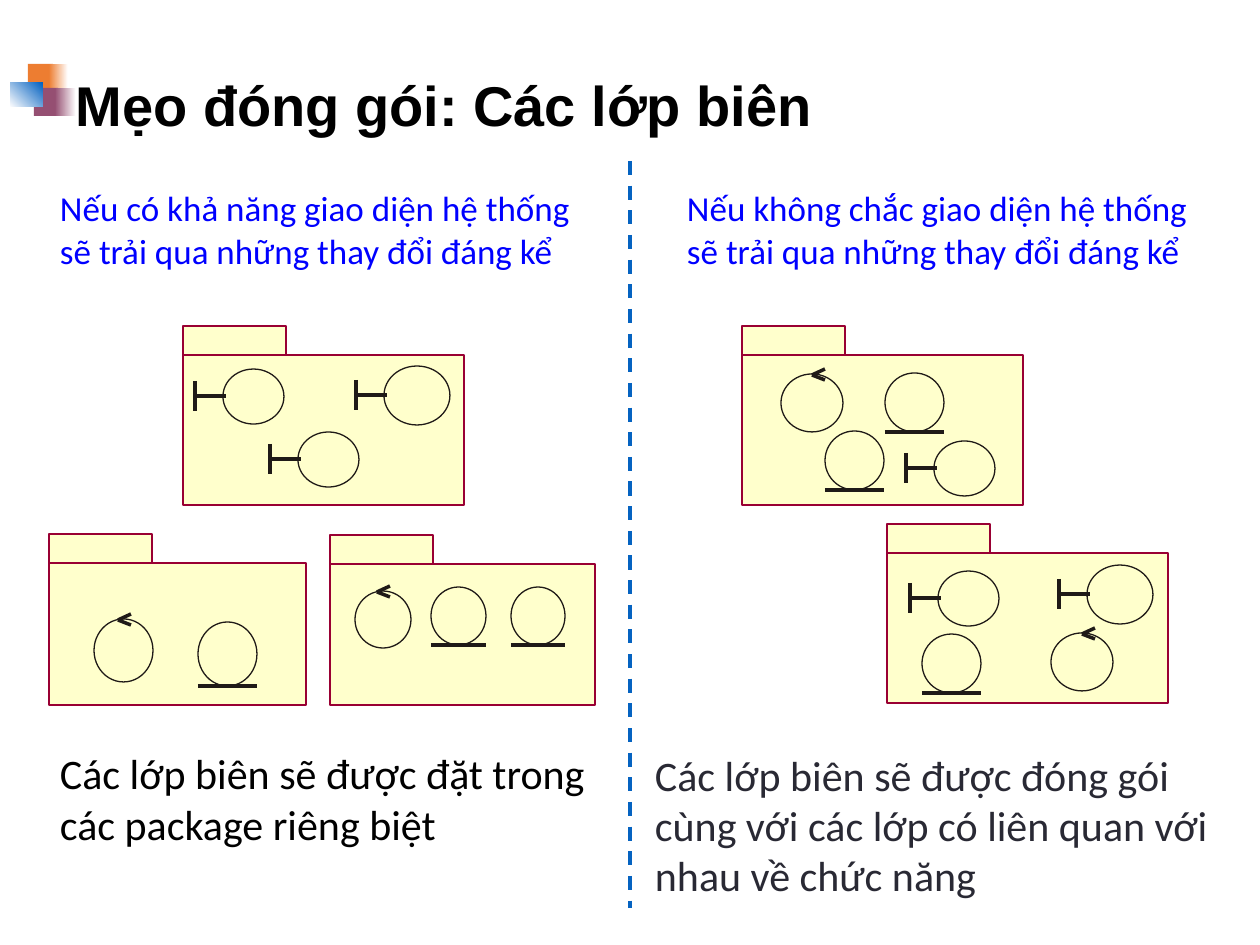
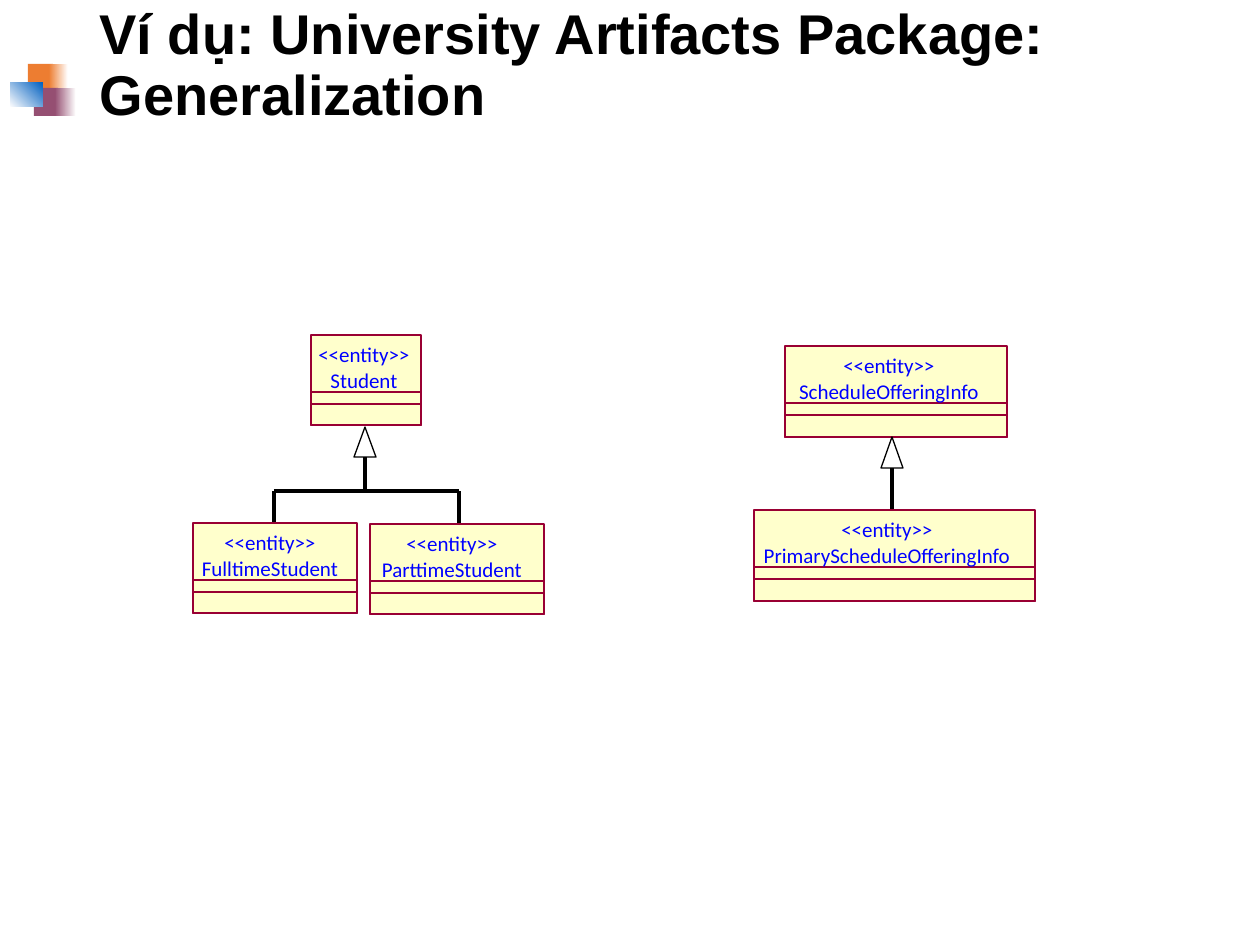
from lxml import etree
from pptx import Presentation
from pptx.dml.color import RGBColor
from pptx.enum.dml import MSO_LINE
from pptx.enum.shapes import MSO_CONNECTOR, MSO_SHAPE
from pptx.enum.text import MSO_ANCHOR, PP_ALIGN
from pptx.oxml.ns import qn
from pptx.util import Pt

RECTANGLE, OVAL = MSO_SHAPE.RECTANGLE, MSO_SHAPE.OVAL
STRAIGHT = MSO_CONNECTOR.STRAIGHT
DASH = MSO_LINE.DASH
LEFT, CENTER = PP_ALIGN.LEFT, PP_ALIGN.CENTER
MIDDLE = MSO_ANCHOR.MIDDLE

WHITE = RGBColor(0xFF, 0xFF, 0xFF)
BLACK = RGBColor(0x00, 0x00, 0x00)
ORANGE = RGBColor(0xED, 0x7D, 0x31)
PLUM = RGBColor(0x95, 0x4F, 0x72)
ACCENT_BLUE = RGBColor(0x05, 0x63, 0xC1)
TEXT_BLUE = RGBColor(0x00, 0x00, 0xFF)
SLATE = RGBColor(0x29, 0x29, 0x34)
CREAM = RGBColor(0xFF, 0xFF, 0xCC)
MAROON = RGBColor(0x99, 0x00, 0x33)
INK = RGBColor(0x1F, 0x1A, 0x17)

SCALE = 914400 / 126  # EMU per pixel
HAIRLINE = 0


def add_block(slide, kind, frame, fill, outline=None):
    """Add a preset shape; a fill of (start, end, angle) is a gradient."""
    block = slide.shapes.add_shape(kind, *[round(v * SCALE) for v in frame])
    block.shadow.inherit = False
    if isinstance(fill, RGBColor):
        block.fill.solid()
        block.fill.fore_color.rgb = fill
    else:
        start, end, angle = fill
        block.fill.gradient()
        block.fill.gradient_angle = angle
        for stop, color in zip(block.fill.gradient_stops, (start, end)):
            stop.color.rgb = color
    if outline is None:
        block.line.fill.background()
    else:
        block.line.color.rgb = outline
        block.line.width = HAIRLINE


def add_line(slide, x1, y1, x2, y2, color=INK, width=HAIRLINE):
    """Add a straight line without a shadow and return it."""
    ends = [round(v * SCALE) for v in (x1, y1, x2, y2)]
    line = slide.shapes.add_connector(STRAIGHT, *ends)
    line.line.color.rgb = color
    line.line.width = width
    etree.SubElement(line._element.spPr, qn("a:effectLst"))
    return line


deck = Presentation()
deck.slide_width = round(1260 * SCALE)
deck.slide_height = round(945 * SCALE)

# Shared title style and corner motif
titles = [
    ("Mẹo đóng gói: Các lớp biên", (63, 53, 1134, 111)),
    ("Ví dụ: University Artifacts Package: Generalization", (87, 16, 1086, 102)),
]
motif = [
    ((28, 64, 25, 28), ORANGE),
    ((49, 64, 19, 28), (ORANGE, WHITE, 0)),
    ((34, 88, 24, 28), PLUM),
    ((55, 88, 21, 28), (PLUM, WHITE, 0)),
    ((10, 83, 33, 24), (WHITE, ACCENT_BLUE, 45)),
]
slides = []
for words, frame in titles:
    slide = deck.slides.add_slide(deck.slide_layouts[5])
    slides.append(slide)
    for motif_frame, fill in motif:
        add_block(slide, RECTANGLE, motif_frame, fill)
    title = slide.shapes.title
    title.left, title.top, title.width, title.height = [round(v * SCALE) for v in frame]
    title.text_frame.word_wrap = True
    title.text_frame.vertical_anchor = MIDDLE
    para = title.text_frame.paragraphs[0]
    para.alignment = LEFT
    para.line_spacing = 0.9
    span = para.add_run()
    span.text = words
    span.font.name = "Arial"
    span.font.size = Pt(32)
    span.font.bold = True
    span.font.color.rgb = BLACK
packaging, generalization = slides

# Slide 1: packages, each a body with a tab on top
packages = [
    (183, 355, 281, 150), (49, 563, 257, 142), (330, 564, 265, 141),
    (742, 355, 281, 150), (887, 553, 281, 150),
]
for left, top, width, height in packages:
    add_block(packaging, RECTANGLE, (left, top, width, height), CREAM, MAROON)
    add_block(packaging, RECTANGLE, (left, top - 29, 103, 29), CREAM, MAROON)

# Boundary classes: circle with a bar on its left
boundaries = [
    (223, 369, 61, 55), (384, 366, 66, 59), (298, 432, 61, 55),
    (934, 441, 61, 55), (938, 571, 61, 55), (1087, 565, 66, 59),
]
for left, top, width, height in boundaries:
    middle = top + height // 2
    add_block(packaging, OVAL, (left, top, width, height), CREAM, INK)
    add_line(packaging, left - 28, middle - 15, left - 28, middle + 15)
    add_line(packaging, left - 28, middle, left + 3, middle)

# Control classes: circle with an arrow tip on its top edge
controls = [
    ((94, 619, 59, 63), 118), ((355, 591, 56, 57), 377),
    ((781, 374, 62, 58), 812), ((1051, 633, 62, 58), 1082),
]
for frame, tip in controls:
    add_block(packaging, OVAL, frame, CREAM, INK)
    for rise in (-5, 6):
        add_line(packaging, tip + 13, frame[1] + rise, tip, frame[1] + 1)

# Entity classes: circle standing on a line
entities = [
    (198, 622, 59, 64), (431, 587, 55, 58), (511, 587, 54, 58),
    (885, 373, 59, 59), (825, 431, 59, 59), (922, 634, 59, 59),
]
for left, top, width, height in entities:
    add_block(packaging, OVAL, (left, top, width, height), CREAM, INK)
    add_line(packaging, left, top + height, left + width, top + height)

divider = add_line(packaging, 630, 161, 630, 908, ACCENT_BLUE, Pt(2))
divider.line.dash_style = DASH

notes = [
    ("Nếu có khả năng giao diện hệ thống sẽ trải qua những thay đổi đáng kể",
     (45, 179, 546, 142), 20, TEXT_BLUE),
    ("Nếu không chắc giao diện hệ thống sẽ trải qua những thay đổi đáng kể",
     (672, 179, 546, 142), 20, TEXT_BLUE),
    ("Các lớp biên sẽ được đặt trong các package riêng biệt",
     (45, 740, 575, 117), 24, BLACK),
    ("Các lớp biên sẽ được đóng gói cùng với các lớp có liên quan với nhau về chức năng",
     (640, 741, 602, 168), 24, SLATE),
]
for words, frame, size, color in notes:
    box = packaging.shapes.add_textbox(*[round(v * SCALE) for v in frame])
    text = box.text_frame
    text.word_wrap = True
    text.margin_left = text.margin_right = round(15 * SCALE)
    text.margin_top = text.margin_bottom = round(8 * SCALE)
    span = text.paragraphs[0].add_run()
    span.text = words
    span.font.name = "Calibri"
    span.font.size = Pt(size)
    span.font.color.rgb = color

# Slide 2: inheritance lines, then the classes on top of them
branches = [
    (892, 525, 892, 468), (274, 533, 274, 491), (459, 525, 459, 491),
    (274, 491, 459, 491), (365, 491, 365, 457),
]
for ends in branches:
    add_line(generalization, *ends, BLACK)

# Name, frame, centre of the text
classes = [
    ("Student", (311, 335, 110, 90), 364),
    ("FulltimeStudent", (193, 523, 164, 90), 270),
    ("ParttimeStudent", (370, 524, 174, 90), 452),
    ("ScheduleOfferingInfo", (785, 346, 222, 91), 889),
    ("PrimaryScheduleOfferingInfo", (754, 510, 281, 91), 887),
]
for name, (left, top, width, height), center in classes:
    for drop in (0, 57, 69):
        frame = (left, top + drop, width, height - drop)
        add_block(generalization, RECTANGLE, frame, CREAM, MAROON)
    frame = (center - 140, top + 7, 280, 50)
    box = generalization.shapes.add_textbox(*[round(v * SCALE) for v in frame])
    text = box.text_frame
    text.word_wrap = True
    text.margin_left = text.margin_right = text.margin_top = text.margin_bottom = 0
    for para, words in ((text.paragraphs[0], "<<entity>>"), (text.add_paragraph(), name)):
        para.alignment = CENTER
        span = para.add_run()
        span.text = words
        span.font.name = "Calibri"
        span.font.size = Pt(12)
        span.font.color.rgb = TEXT_BLUE

# Hollow arrowheads: apex x, apex y, base y
for x, apex, base in ((365, 427, 457), (892, 437, 468)):
    outline = generalization.shapes.build_freeform(x, apex, scale=SCALE)
    outline.add_line_segments([(x + 11, base), (x - 11, base)], close=True)
    arrowhead = outline.convert_to_shape()
    arrowhead.shadow.inherit = False
    arrowhead.fill.background()
    arrowhead.line.color.rgb = BLACK
    arrowhead.line.width = HAIRLINE

deck.save("out.pptx")
